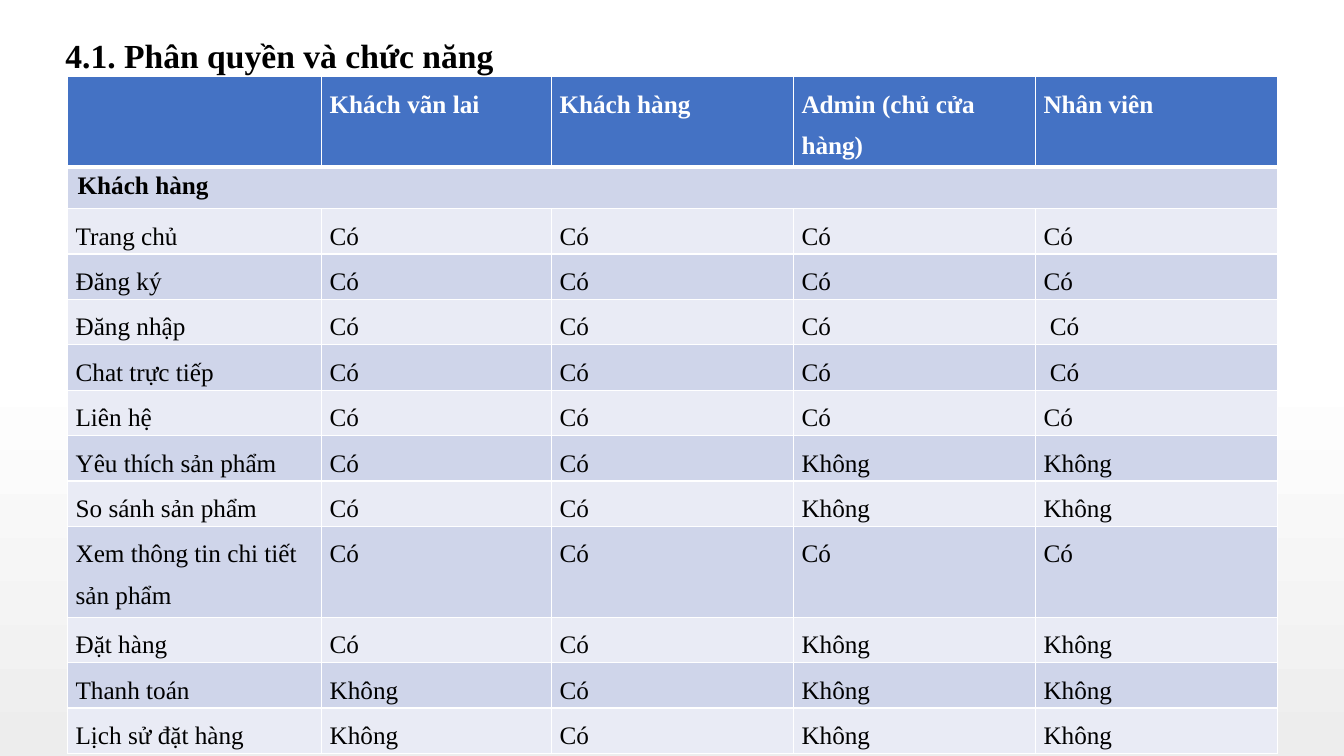
from dataclasses import dataclass

from lxml.etree import SubElement
from pptx import Presentation
from pptx.dml.color import RGBColor
from pptx.enum.text import MSO_AUTO_SIZE
from pptx.oxml.ns import qn
from pptx.slide import Slide
from pptx.table import Table, _Cell as Cell
from pptx.text.text import _Paragraph as Paragraph
from pptx.util import Inches, Pt

COLORS = {
    "white": "FFFFFF",
    "black": "000000",
    "header": "4472C4",
    "band_dark": "CFD5EA",
    "band_light": "E9EBF5",
    "backdrop": "EDEDED",
}
FONT = "Times New Roman"
INDENT = Inches(0.08)
COL_WIDTHS = [2.52, 2.28, 2.4, 2.4, 2.4]
ROW_HEIGHT = 0.41
HEADINGS = ["", "Khách vãn lai", "Khách hàng", "Admin (chủ cửa\nhàng)", "Nhân viên"]
GROUP = "Khách hàng"
YES, NO = "Có", "Không"


@dataclass(frozen=True)
class Feature:
    name: str
    guest: str = YES
    customer: str = YES
    admin: str = YES
    staff: str = YES

    def texts(self) -> list[str]:
        return [self.name, self.guest, self.customer, self.admin, self.staff]


FEATURES = [
    Feature("Trang chủ"),
    Feature("Đăng ký"),
    Feature("Đăng nhập", staff=" Có"),
    Feature("Chat trực tiếp", staff=" Có"),
    Feature("Liên hệ"),
    Feature("Yêu thích sản phẩm", admin=NO, staff=NO),
    Feature("So sánh sản phẩm", admin=NO, staff=NO),
    Feature("Xem thông tin chi tiết sản phẩm"),
    Feature("Đặt hàng", admin=NO, staff=NO),
    Feature("Thanh toán", guest=NO, admin=NO, staff=NO),
    Feature("Lịch sử đặt hàng", guest=NO, admin=NO, staff=NO),
]


def rgb(name: str) -> RGBColor:
    return RGBColor.from_string(COLORS[name])


def add_text(p: Paragraph, text: str, size: int, color: str, bold: bool) -> None:
    r = p.add_run()
    r.text = text
    for key, value in {"name": FONT, "size": Pt(size), "bold": bold}.items():
        setattr(r.font, key, value)
    r.font.color.rgb = rgb(color)


def style_cell(cell: Cell, fill: str, bottom: int = 1) -> None:
    """Set white borders, in points, and then the fill, as the schema orders them."""
    tc_pr = cell._tc.get_or_add_tcPr()
    for side, width in {"L": 1, "R": 1, "T": 1, "B": bottom}.items():
        ln = SubElement(tc_pr, qn(f"a:ln{side}"), w=str(Pt(width)))
        solid = SubElement(ln, qn("a:solidFill"))
        SubElement(solid, qn("a:srgbClr"), val=COLORS["white"])
    cell.fill.solid()
    cell.fill.fore_color.rgb = rgb(fill)


def fill_cell(cell: Cell, text: str, color: str, bold: bool, before: float) -> None:
    """Write an indented cell without margins, one paragraph per line of text."""
    for side in ("left", "right", "top", "bottom"):
        setattr(cell, f"margin_{side}", 0)
    tf = cell.text_frame
    for i, line in enumerate(text.split("\n")):
        p = tf.add_paragraph() if i else tf.paragraphs[0]
        p.line_spacing = 1.5
        p.space_before = Pt(0 if i else before)
        p._p.get_or_add_pPr().set("marL", str(INDENT))
        add_text(p, line, 18, color, bold)


def add_title(s: Slide) -> None:
    tf = s.shapes.add_textbox(Inches(0.55), Inches(0.3), Inches(5.4), Inches(0.5)).text_frame
    tf.word_wrap = True
    tf.auto_size = MSO_AUTO_SIZE.SHAPE_TO_FIT_TEXT
    add_text(tf.paragraphs[0], "4.1. Phân quyền và chức năng", 24, "black", True)


def add_permissions(s: Slide) -> Table:
    rows = len(FEATURES) + 2
    table = s.shapes.add_table(
        rows, len(COL_WIDTHS), Inches(0.67), Inches(0.76),
        Inches(sum(COL_WIDTHS)), Inches(rows * ROW_HEIGHT),
    ).table
    for column, width in zip(table.columns, COL_WIDTHS):
        column.width = Inches(width)
    for row in table.rows:
        row.height = Inches(ROW_HEIGHT)

    for cell, heading in zip(table.rows[0].cells, HEADINGS):
        style_cell(cell, "header", bottom=3)
        if heading:
            fill_cell(cell, heading, "white", True, 0.2)

    for cell in table.rows[1].cells:
        style_cell(cell, "band_dark")
    group = table.cell(1, 0)
    group.merge(table.cell(1, len(COL_WIDTHS) - 1))
    add_text(group.text_frame.paragraphs[0], GROUP, 18, "black", True)

    for i, feature in enumerate(FEATURES):
        for cell, text in zip(table.rows[i + 2].cells, feature.texts()):
            style_cell(cell, "band_dark" if i % 2 else "band_light")
            fill_cell(cell, text, "black", False, 0.1)
    return table


def set_background(s: Slide) -> None:
    fill = s.background.fill
    fill.gradient()
    fill.gradient_angle = 270
    for stop, (position, color) in zip(fill.gradient_stops, [(0.48, "white"), (1, "backdrop")]):
        stop.position = position
        stop.color.rgb = rgb(color)


def main() -> None:
    prs = Presentation()
    prs.slide_width, prs.slide_height = Inches(13.33), Inches(7.5)
    s = prs.slides.add_slide(prs.slide_layouts[6])
    set_background(s)
    add_title(s)
    add_permissions(s)
    prs.save("out.pptx")


if __name__ == "__main__":
    main()
